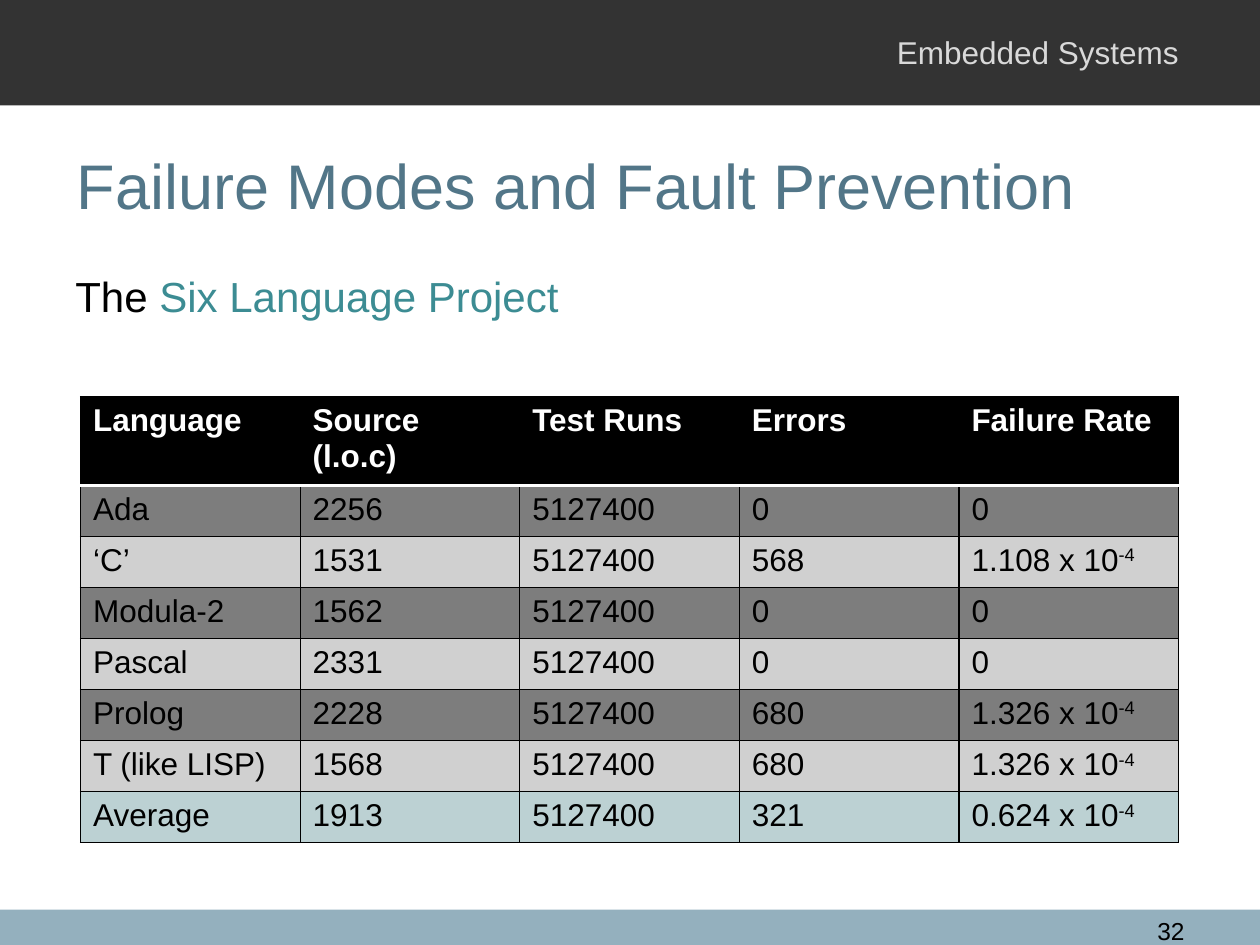
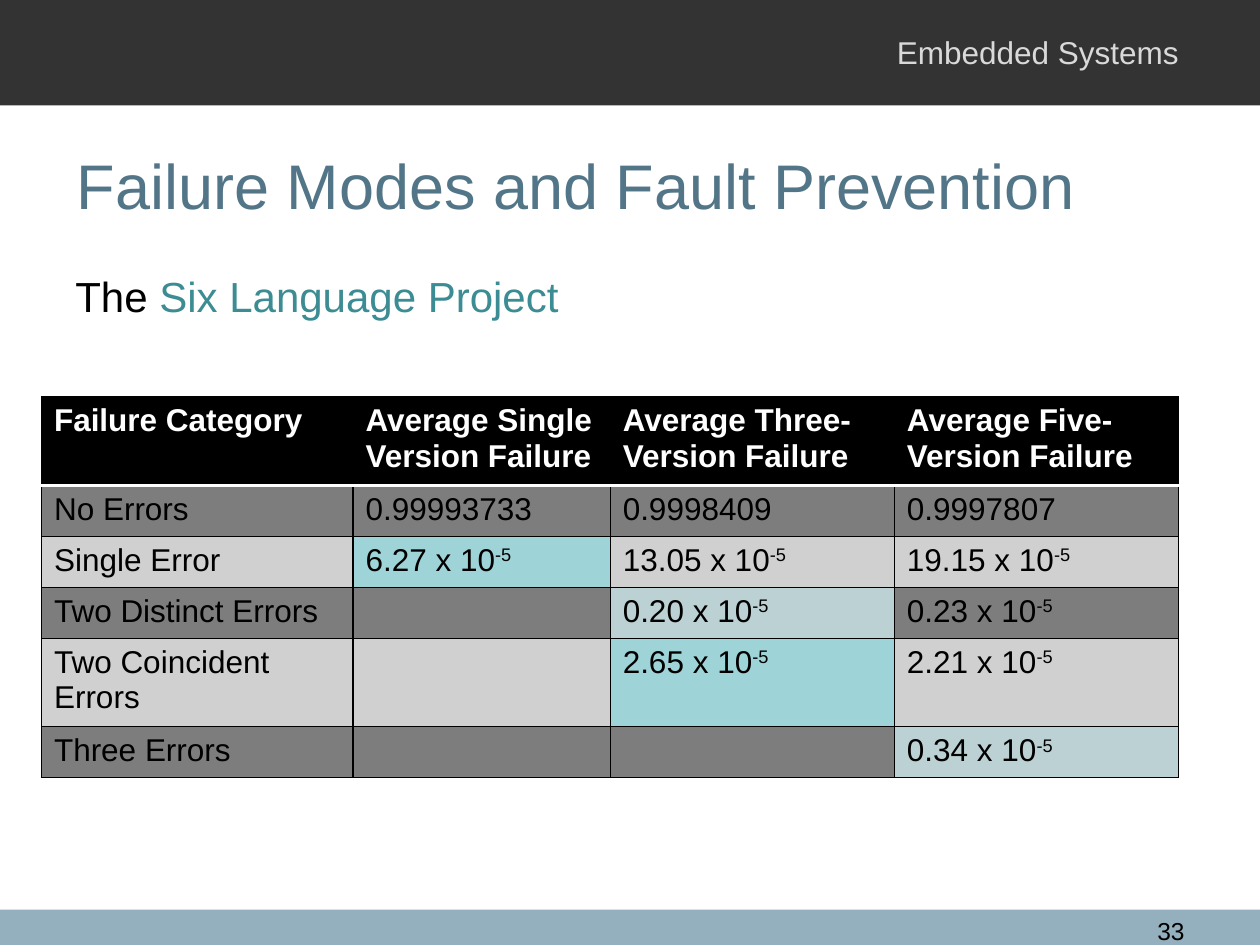
"""Build two slides of results from the Six Language Project."""
from dataclasses import dataclass, field

from lxml import etree
from pptx import Presentation
from pptx import util as u
from pptx.dml.color import RGBColor
from pptx.enum import shapes, text
from pptx.oxml import ns

COLORS = {
    "black": "000000",
    "white": "FFFFFF",
    "header band": "333333",
    "footer band": "94B0BE",
    "course": "D9D9D9",
    "title": "527688",
    "accent": "3C8C93",
    "dark row": "7D7D7D",
    "light row": "D0D0D0",
    "pale teal": "BCD1D3",
    "teal": "9ED3D7",
}
FONT = "Arial"
WIDTH, HEIGHT = 720, 540
TABLE_TOP = 226.8
ROW_HEIGHT, TALL_ROW_HEIGHT = 29.2, 47.8
CELL_SIZE = 18


@dataclass(frozen=True)
class Box:
    left: float
    top: float
    width: float
    height: float

    def lengths(self) -> list[u.Pt]:
        return [u.Pt(value) for value in (self.left, self.top, self.width, self.height)]


@dataclass(frozen=True)
class Band:
    box: Box
    color: str


@dataclass(frozen=True)
class Label:
    box: Box
    runs: list[tuple[str, str]]
    size: float
    align: text.PP_ALIGN = text.PP_ALIGN.LEFT
    anchor: text.MSO_ANCHOR = text.MSO_ANCHOR.TOP


@dataclass(frozen=True)
class ResultTable:
    number: int
    left: float
    columns: list[float]
    rows: list[list[str]]
    tall_rows: set[int]
    highlights: dict[tuple[int, int], str] = field(default_factory=dict)


BANDS = [
    Band(Box(0, 519.8, WIDTH, 20.2), "footer band"),
    Band(Box(0, 0, WIDTH, 60.2), "header band"),
]
LABELS = [
    Label(Box(505.4, 15.1, 180, 29), [("Embedded Systems", "course")], 18),
    Label(Box(36.9, 60.5, 648, 90), [("Failure Modes and Fault Prevention", "title")], 36,
          anchor=text.MSO_ANCHOR.MIDDLE),
    Label(Box(36, 151.2, 648, 39), [("The ", "black"), ("Six Language Project", "accent")], 24),
]
NUMBER_BOX = Box(637.9, 519.8, 46.1, 17.3)

TABLES = [
    ResultTable(
        32, 46, [125.5] * 5,
        [
            ["Language", "Source (l.o.c)", "Test Runs", "Errors", "Failure Rate"],
            ["Ada", "2256", "5127400", "0", "0"],
            ["‘C’", "1531", "5127400", "568", "1.108 x 10^-4"],
            ["Modula-2", "1562", "5127400", "0", "0"],
            ["Pascal", "2331", "5127400", "0", "0"],
            ["Prolog", "2228", "5127400", "680", "1.326 x 10^-4"],
            ["T (like LISP)", "1568", "5127400", "680", "1.326 x 10^-4"],
            ["Average", "1913", "5127400", "321", "0.624 x 10^-4"],
        ],
        {0},
        {(7, column): "pale teal" for column in range(5)},
    ),
    ResultTable(
        33, 23.7, [178, 147, 162.4, 162.4],
        [
            ["Failure Category", "Average Single Version Failure",
             "Average Three-Version Failure", "Average Five-Version Failure"],
            ["No Errors", "0.99993733", "0.9998409", "0.9997807"],
            ["Single Error", "6.27 x 10^-5", "13.05 x 10^-5", "19.15 x 10^-5"],
            ["Two Distinct Errors", "", "0.20 x 10^-5", "0.23 x 10^-5"],
            ["Two Coincident Errors", "", "2.65 x 10^-5", "2.21 x 10^-5"],
            ["Three Errors", "", "", "0.34 x 10^-5"],
        ],
        {0, 4},
        {(2, 1): "teal", (3, 2): "pale teal", (4, 2): "teal", (5, 3): "pale teal"},
    ),
]


def rgb(color: str) -> RGBColor:
    return RGBColor.from_string(COLORS[color])


def paint(target, color: str) -> None:
    target.fill.solid()
    target.fill.fore_color.rgb = rgb(color)


def add_run(paragraph, words: str, color: str, size: float, bold: bool = False):
    run = paragraph.add_run()
    run.text = words
    for name, value in {"name": FONT, "size": u.Pt(size), "bold": bold}.items():
        setattr(run.font, name, value)
    run.font.color.rgb = rgb(color)
    return run


def draw_band(slide, band: Band) -> None:
    shape = slide.shapes.add_shape(shapes.MSO_SHAPE.RECTANGLE, *band.box.lengths())
    shape.shadow.inherit = False
    shape.line.fill.background()
    paint(shape, band.color)


def draw_label(slide, label: Label) -> None:
    frame = slide.shapes.add_textbox(*label.box.lengths()).text_frame
    for name, value in {"word_wrap": True, "vertical_anchor": label.anchor}.items():
        setattr(frame, name, value)
    paragraph = frame.paragraphs[0]
    formats = {"alignment": label.align, "space_before": u.Pt(label.size / 10)}
    for name, value in formats.items():
        setattr(paragraph, name, value)
    for words, color in label.runs:
        add_run(paragraph, words, color, label.size)


def add_border(cell, side: str, color: str, width: float) -> None:
    properties = cell._tc.get_or_add_tcPr()
    line = etree.SubElement(properties, ns.qn(f"a:ln{side}"), w=str(u.Pt(width)))
    fill = etree.SubElement(line, ns.qn("a:solidFill"))
    etree.SubElement(fill, ns.qn("a:srgbClr"), val=COLORS[color])


def fill_cell(cell, words: str, row: int, color: str) -> None:
    is_header = row == 0
    white_side = {0: "B", 1: "T"}.get(row)
    for side in "LRTB":
        add_border(cell, side, *(("white", 2) if side == white_side else ("black", 0.75)))
    paint(cell, color)
    base, _, exponent = words.partition("^")
    paragraph = cell.text_frame.paragraphs[0]
    paragraph.font.size = u.Pt(CELL_SIZE)
    text_color = "white" if is_header else "black"
    if base:
        add_run(paragraph, base, text_color, CELL_SIZE, is_header)
    if exponent:
        run = add_run(paragraph, exponent, text_color, CELL_SIZE)
        run._r.get_or_add_rPr().set("baseline", "30000")


def row_color(row: int) -> str:
    if row == 0:
        return "black"
    return "dark row" if row % 2 else "light row"


def draw_table(slide, result: ResultTable) -> None:
    heights = [TALL_ROW_HEIGHT if row in result.tall_rows else ROW_HEIGHT
               for row in range(len(result.rows))]
    box = Box(result.left, TABLE_TOP, sum(result.columns), sum(heights))
    table = slide.shapes.add_table(len(heights), len(result.columns), *box.lengths()).table
    for name, value in {"first_row": False, "horz_banding": False}.items():
        setattr(table, name, value)
    for column, width in zip(table.columns, result.columns):
        column.width = u.Pt(width)
    for row, (words_in_row, height) in enumerate(zip(result.rows, heights)):
        table.rows[row].height = u.Pt(height)
        for column, words in enumerate(words_in_row):
            color = result.highlights.get((row, column), row_color(row))
            fill_cell(table.cell(row, column), words, row, color)


def draw_slide(presentation, result: ResultTable) -> None:
    slide = presentation.slides.add_slide(presentation.slide_layouts[6])
    for band in BANDS:
        draw_band(slide, band)
    number = Label(NUMBER_BOX, [(str(result.number), "black")], 14, text.PP_ALIGN.RIGHT)
    for label in [*LABELS, number]:
        draw_label(slide, label)
    draw_table(slide, result)


def main() -> None:
    presentation = Presentation()
    for name, value in {"slide_width": WIDTH, "slide_height": HEIGHT}.items():
        setattr(presentation, name, u.Pt(value))
    for result in TABLES:
        draw_slide(presentation, result)
    presentation.save("out.pptx")


if __name__ == "__main__":
    main()
